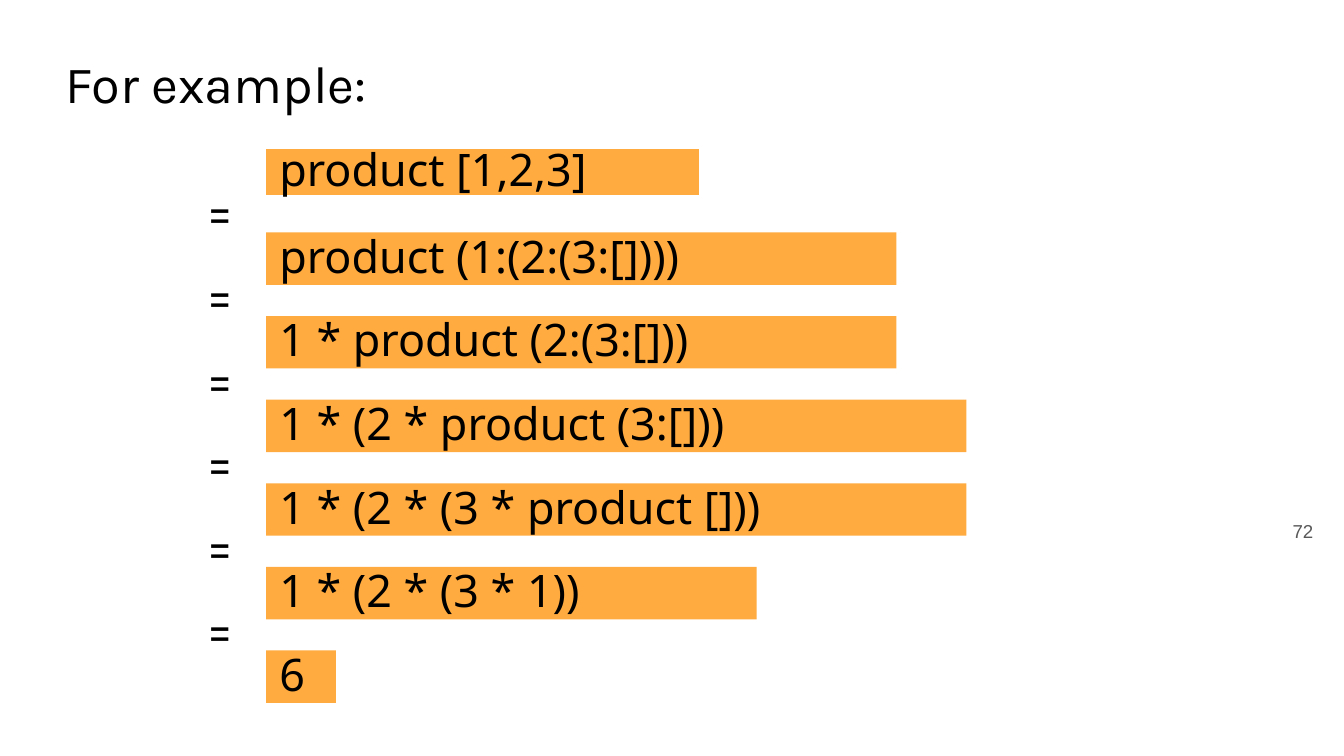
"""Build a slide that evaluates a recursive product step by step."""
from dataclasses import dataclass

from pptx import Presentation
from pptx.dml.color import RGBColor
from pptx.enum.shapes import MSO_SHAPE
from pptx.enum.text import MSO_ANCHOR, MSO_AUTO_SIZE, PP_ALIGN
from pptx.shapes.base import BaseShape
from pptx.shapes.shapetree import GroupShapes
from pptx.util import Inches, Pt

RECTANGLE = MSO_SHAPE.RECTANGLE
TOP, MIDDLE = MSO_ANCHOR.TOP, MSO_ANCHOR.MIDDLE
LEFT, CENTER, RIGHT = PP_ALIGN.LEFT, PP_ALIGN.CENTER, PP_ALIGN.RIGHT
NO_AUTOFIT = MSO_AUTO_SIZE.NONE

BLACK = RGBColor(0x00, 0x00, 0x00)
GRAY = RGBColor(0x59, 0x59, 0x59)
ORANGE = RGBColor(0xFF, 0xAB, 0x40)

TITLE_ONLY = 5
SLIDE_WIDTH = 10
SLIDE_HEIGHT = SLIDE_WIDTH * 9 / 16
STEP_LEFT, FIRST_TOP, FIRST_HEIGHT = 1.98, 1.11, 0.34
SECOND_TOP, LAST_TOP, STEP_HEIGHT = 1.73, 4.84, 0.39
EQUALS_LEFT, EQUALS_WIDTH, EQUALS_RISE = 1.38, 0.52, 0.37


@dataclass(frozen=True)
class Style:
    """Text formatting for one kind of element."""

    font: str
    size: float
    color: RGBColor = BLACK
    align: PP_ALIGN = LEFT
    anchor: MSO_ANCHOR = MIDDLE
    spacing: float = 1.0
    wrap: bool = True


@dataclass(frozen=True)
class Step:
    """One expression in the evaluation."""

    expression: str
    width: float


HEADING = Style("Karla", 28, wrap=False)
EQUALS = Style("Karla", 28, align=CENTER)
CODE = Style("Noto Sans", 24, spacing=0.9)
PAGE = Style("Arial", 10, color=GRAY, align=RIGHT, anchor=TOP)

FIRST_STEP = Step("product [1,2,3]", 3.22)
NEXT_STEPS = (
    Step("product (1:(2:(3:[])))", 4.69),
    Step("1 * product (2:(3:[]))", 4.69),
    Step("1 * (2 * product (3:[]))", 5.21),
    Step("1 * (2 * (3 * product []))", 5.21),
    Step("1 * (2 * (3 * 1))", 3.65),
    Step("6", 0.52),
)
PITCH = (LAST_TOP - SECOND_TOP) / (len(NEXT_STEPS) - 1)


def write(shape: BaseShape, text: str, style: Style) -> None:
    """Put styled text into a shape."""
    frame = shape.text_frame
    frame.text = text
    paragraph = frame.paragraphs[0]
    font = paragraph.runs[0].font
    font.color.rgb = style.color
    formats = {
        frame: {
            "auto_size": NO_AUTOFIT,
            "word_wrap": style.wrap,
            "vertical_anchor": style.anchor,
            "margin_left": Inches(0.1),
            "margin_right": Inches(0.1),
            "margin_top": Inches(0.05),
            "margin_bottom": Inches(0.05),
        },
        paragraph: {"alignment": style.align, "line_spacing": style.spacing},
        font: {"name": style.font, "size": Pt(style.size)},
    }
    for target, values in formats.items():
        for attribute, value in values.items():
            setattr(target, attribute, value)


def draw_label(shapes: GroupShapes, text: str, style: Style,
               left: float, top: float, width: float, height: float) -> None:
    """Add a text box."""
    label = shapes.add_textbox(Inches(left), Inches(top), Inches(width), Inches(height))
    write(label, text, style)


def draw_step(shapes: GroupShapes, step: Step, top: float, height: float) -> None:
    """Add the orange bar of one expression."""
    bar = shapes.add_shape(
        RECTANGLE, Inches(STEP_LEFT), Inches(top), Inches(step.width), Inches(height)
    )
    bar.shadow.inherit = False
    bar.fill.solid()
    bar.fill.fore_color.rgb = ORANGE
    bar.line.fill.background()
    write(bar, step.expression, CODE)


def main() -> None:
    """Create and save the slide."""
    deck = Presentation()
    deck.slide_width, deck.slide_height = Inches(SLIDE_WIDTH), Inches(SLIDE_HEIGHT)
    slide = deck.slides.add_slide(deck.slide_layouts[TITLE_ONLY])

    title = slide.shapes.title
    place = {"left": 0.39, "top": 0.4, "width": 2.45, "height": 0.43}
    for attribute, value in place.items():
        setattr(title, attribute, Inches(value))
    write(title, "For example:", HEADING)

    draw_label(slide.shapes, "72", PAGE, 9.27, 3.82, 0.6, 0.32)
    draw_step(slide.shapes, FIRST_STEP, FIRST_TOP, FIRST_HEIGHT)
    for index, step in enumerate(NEXT_STEPS):
        top = SECOND_TOP + index * PITCH
        equation = slide.shapes.add_group_shape().shapes
        draw_step(equation, step, top, STEP_HEIGHT)
        draw_label(equation, "=", EQUALS,
                   EQUALS_LEFT, top - EQUALS_RISE, EQUALS_WIDTH, STEP_HEIGHT)

    deck.save("out.pptx")


if __name__ == "__main__":
    main()
